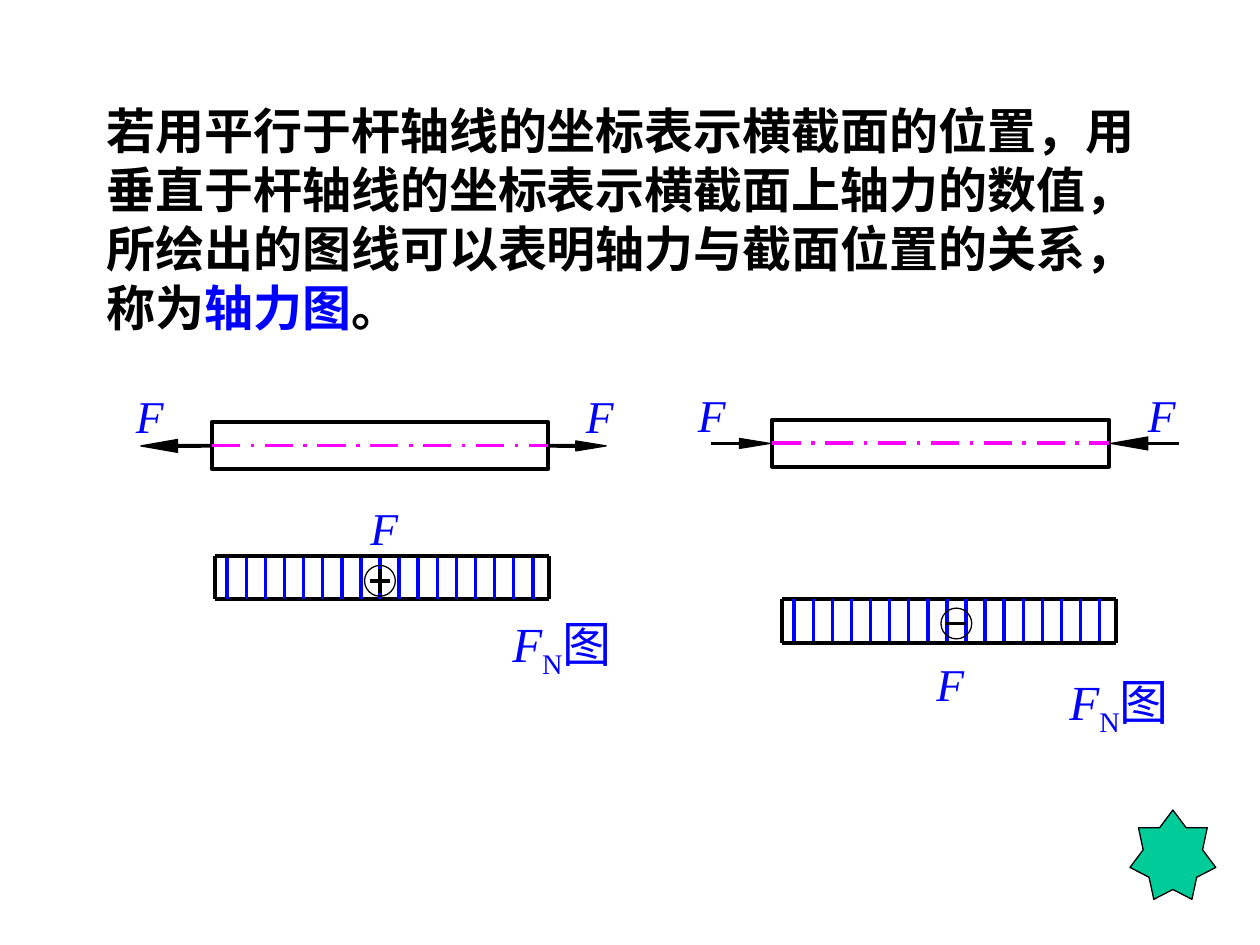
from dataclasses import dataclass

from lxml.etree import SubElement
from pptx import Presentation
from pptx.dml.color import RGBColor
from pptx.enum.dml import MSO_LINE
from pptx.enum.shapes import MSO_CONNECTOR, MSO_SHAPE
from pptx.enum.text import PP_ALIGN
from pptx.oxml.ns import qn
from pptx.util import Cm, Pt


@dataclass(frozen=True)
class Theme:
    black: str = "000000"
    blue: str = "0000FF"
    magenta: str = "FF00FF"
    green: str = "00CC99"
    chinese: str = "Noto Sans CJK SC"
    latin: str = "Times New Roman"
    body: float = 28
    symbol: float = 26
    thick: float = 2.25
    thin: float = 0.75
    hairline: float = 0


THEME = Theme()
BAR_WIDTH, BAR_HEIGHT = 6.78, 0.95
DIAGRAM_WIDTH = 6.73
HATCH_COUNT, HATCH_INSET, HATCH_STEP = 17, 0.24, 0.385
SIGN_RADIUS = 0.31


def set_stroke(line, color, width):
    line.color.rgb = RGBColor.from_string(color)
    line.width = Pt(width)


def add_line(page, start, end, width=THEME.hairline, color=THEME.black, dash=None):
    line = page.shapes.add_connector(
        MSO_CONNECTOR.STRAIGHT, *(Cm(value) for value in (*start, *end)))
    set_stroke(line.line, color, width)
    if dash:
        line.line.dash_style = dash
    SubElement(line._element.spPr, qn("a:effectLst"))
    return line


def add_preset(page, kind, frame, width, fill=None):
    shape = page.shapes.add_shape(kind, *(Cm(value) for value in frame))
    shape.shadow.inherit = False
    set_stroke(shape.line, THEME.black, width)
    if fill:
        shape.fill.solid()
        shape.fill.fore_color.rgb = RGBColor.from_string(fill)
    else:
        shape.fill.background()
    return shape


def add_span(para, text, size=THEME.body, font=THEME.latin, color=THEME.blue,
             bold=False, italic=False, baseline=0):
    span = para.add_run()
    span.text = text
    span.font.size = Pt(size)
    span.font.name = font
    span.font.bold = bold
    span.font.italic = italic
    span.font.color.rgb = RGBColor.from_string(color)
    properties = span._r.get_or_add_rPr()
    SubElement(properties, qn("a:ea"), typeface=font)
    if baseline:
        properties.set("baseline", str(baseline * 1000))


def add_para(page, frame, align=PP_ALIGN.CENTER, inset=(0, 0)):
    box = page.shapes.add_textbox(*(Cm(value) for value in frame))
    text = box.text_frame
    text.word_wrap = True
    text.margin_left = text.margin_right = Cm(inset[0])
    text.margin_top = text.margin_bottom = Cm(inset[1])
    para = text.paragraphs[0]
    para.alignment = align
    return para


def add_symbol(page, left, top, align=PP_ALIGN.LEFT, width=0.8):
    para = add_para(page, (left, top, width, 1.1), align)
    add_span(para, "F", size=THEME.symbol, italic=True)


def add_caption(page, left, top, width):
    para = add_para(page, (left, top, width, 1.35))
    add_span(para, "F", italic=True)
    add_span(para, "N", baseline=-25)
    add_span(para, "图", font=THEME.chinese)


def add_bar(page, left, top):
    bar = add_preset(page, MSO_SHAPE.RECTANGLE,
                     (left, top, BAR_WIDTH, BAR_HEIGHT), THEME.thick)
    axis = add_line(page, (left, top), (left + BAR_WIDTH, top),
                    color=THEME.magenta, dash=MSO_LINE.LONG_DASH_DOT)
    axis.begin_connect(bar, 1)
    axis.end_connect(bar, 3)
    return bar


def add_force(page, y, start, base, tip, half, bar=None, side=None):
    """Shaft from start to base, then a head to tip; the shaft may join a bar."""
    shaft = add_line(page, (start, y), (base, y), THEME.thick)
    if bar is not None:
        shaft.begin_connect(bar, side)
    builder = page.shapes.build_freeform(Cm(base), Cm(y + half), scale=1.0)
    builder.add_line_segments([(Cm(tip), Cm(y)), (Cm(base), Cm(y - half))], close=True)
    head = builder.convert_to_shape()
    head.shadow.inherit = False
    head.fill.solid()
    head.fill.fore_color.rgb = RGBColor.from_string(THEME.black)
    set_stroke(head.line, THEME.black, THEME.hairline)


def add_axial_diagram(page, left, axis_y, force_y):
    right = left + DIAGRAM_WIDTH
    add_line(page, (left, axis_y), (right, axis_y))
    for index in range(HATCH_COUNT):
        x = left + HATCH_INSET + index * HATCH_STEP
        add_line(page, (x, axis_y), (x, force_y), color=THEME.blue)
    add_line(page, (left, force_y), (right, force_y), THEME.thick)
    for x in (left, right):
        add_line(page, (x, axis_y), (x, force_y), THEME.thick)


def add_sign(page, x, y, positive):
    add_preset(page, MSO_SHAPE.OVAL,
               (x - SIGN_RADIUS, y - SIGN_RADIUS, 2 * SIGN_RADIUS, 2 * SIGN_RADIUS),
               THEME.hairline)
    add_line(page, (x - 0.2, y), (x + 0.2, y))
    if positive:
        add_line(page, (x, y - 0.24), (x, y + 0.24))


def add_definition(page):
    para = add_para(page, (1.9, 1.9, 22.02, 5), PP_ALIGN.LEFT, (0.25, 0.13))
    para.line_spacing = Pt(33.7)
    parts = (
        ("若用平行于杆轴线的坐标表示横截面的位置，用垂直于杆轴线的坐标表示横截面上"
         "轴力的数值，所绘出的图线可以表明轴力与截面位置的关系，称为", THEME.black),
        ("轴力图", THEME.blue),
        ("。", THEME.black),
    )
    for text, color in parts:
        add_span(para, text, font=THEME.chinese, color=color, bold=True)


def add_tension(page):
    bar = add_bar(page, 4.27, 8.51)
    add_force(page, 8.99, 4.27, 3.58, 2.84, 0.13, bar, 1)
    add_force(page, 8.99, 11.05, 11.61, 12.22, 0.1, bar, 3)
    add_symbol(page, 2.74, 7.82)
    add_symbol(page, 11.81, 7.82)
    add_axial_diagram(page, 4.34, 12.08, 11.2)
    add_sign(page, 7.66, 11.71, positive=True)
    add_symbol(page, 7.11, 10.08, PP_ALIGN.CENTER, 1.27)
    add_caption(page, 9.96, 12.37, 2.74)


def add_compression(page):
    add_bar(page, 15.57, 8.46)
    add_force(page, 8.94, 14.33, 14.91, 15.52, 0.1)
    add_force(page, 8.94, 23.77, 23.14, 22.4, 0.13)
    add_symbol(page, 14.07, 7.8)
    add_symbol(page, 23.14, 7.8)
    add_axial_diagram(page, 15.77, 12.07, 12.97)
    add_sign(page, 19.28, 12.57, positive=False)
    add_symbol(page, 18.62, 13.23, PP_ALIGN.CENTER, 1.07)
    add_caption(page, 21.39, 13.54, 2.34)


def main():
    deck = Presentation()
    deck.slide_width, deck.slide_height = Cm(25.4), Cm(19.05)
    page = deck.slides.add_slide(deck.slide_layouts[6])

    # Definition of the axial force diagram
    add_definition(page)
    # Bars with their loads and axial force diagrams
    add_tension(page)
    add_compression(page)
    # Star in the corner
    add_preset(page, MSO_SHAPE.STAR_7_POINT, (22.78, 16.33, 1.73, 1.8),
               THEME.thin, THEME.green)

    deck.save("out.pptx")


if __name__ == "__main__":
    main()
